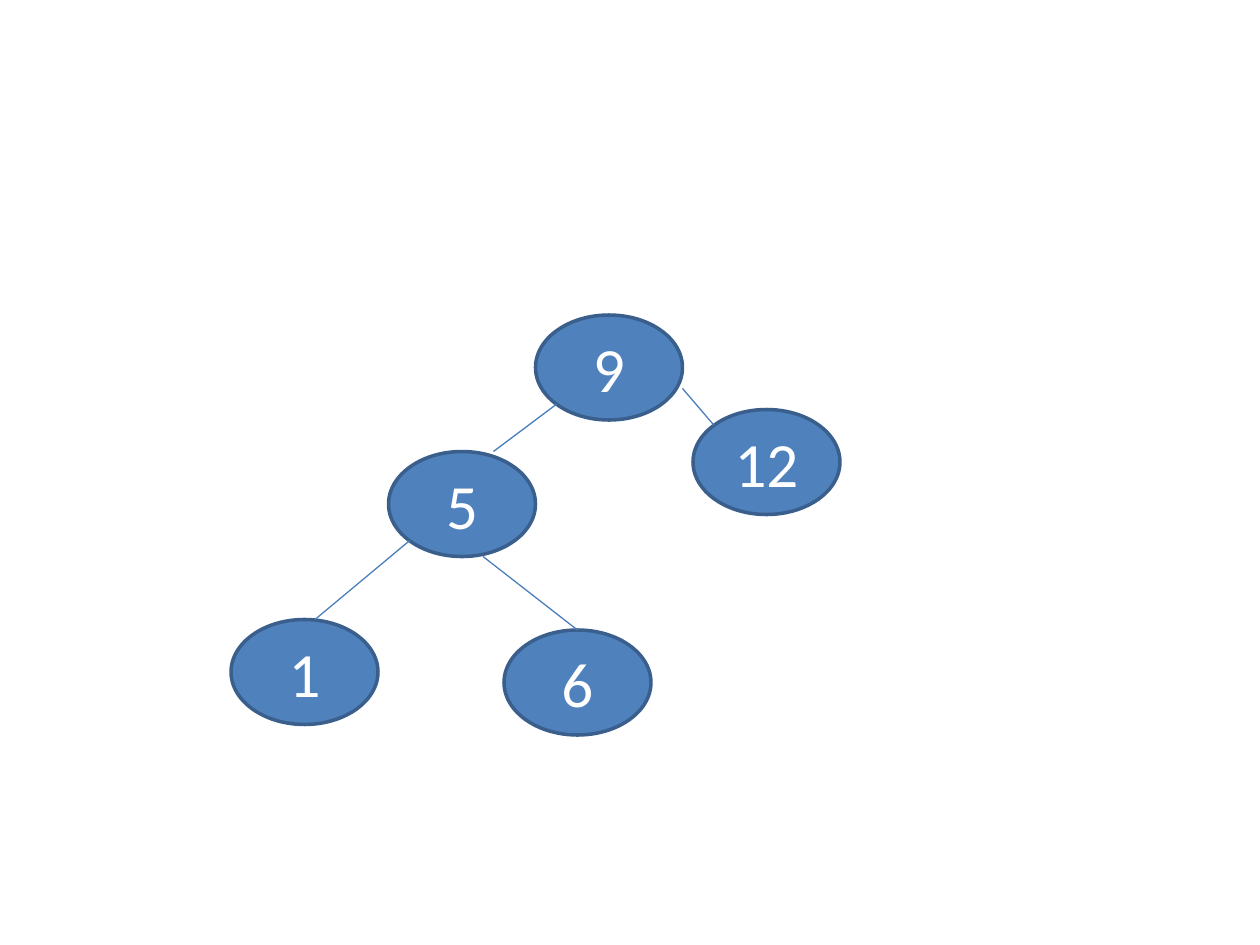
from dataclasses import dataclass

from pptx import Presentation
from pptx.dml.color import RGBColor
from pptx.enum.shapes import MSO_CONNECTOR, MSO_SHAPE
from pptx.enum.text import MSO_ANCHOR, PP_ALIGN
from pptx.oxml.ns import qn
from pptx.shapes.autoshape import Shape
from pptx.shapes.connector import Connector
from pptx.slide import Slide
from pptx.util import Emu, Pt

EMU_PER_PX = 9525
NODE_WIDTH, NODE_HEIGHT = 112, 80
TOP_SITE = 0


@dataclass(frozen=True)
class Node:
    label: str
    left: int
    top: int


@dataclass(frozen=True)
class Edge:
    start: tuple[int, int]
    end: tuple[int, int]
    joined_child: str = ""


NODES = [
    Node("9", 408, 240),
    Node("12", 528, 312),
    Node("5", 296, 344),
    Node("6", 384, 480),
    Node("1", 176, 472),
]
EDGES = [
    Edge((424, 308), (376, 344)),
    Edge((520, 296), (544, 324)),
    Edge((312, 412), (240, 472)),
    Edge((368, 424), (440, 480), joined_child="6"),
]


def px(length: int) -> Emu:
    return Emu(length * EMU_PER_PX)


def color(value: str) -> RGBColor:
    return RGBColor.from_string(value)


def draw_node(page: Slide, node: Node) -> Shape:
    ellipse = page.shapes.add_shape(
        MSO_SHAPE.OVAL, px(node.left), px(node.top), px(NODE_WIDTH), px(NODE_HEIGHT)
    )
    ellipse.shadow.inherit = False
    ellipse.fill.solid()
    ellipse.fill.fore_color.rgb = color("4F81BD")
    ellipse.line.color.rgb = color("3A5F8C")
    ellipse.line.width = Pt(2)
    ellipse.text_frame.vertical_anchor = MSO_ANCHOR.MIDDLE
    para = ellipse.text_frame.paragraphs[0]
    para.alignment = PP_ALIGN.CENTER
    span = para.add_run()
    span.text = node.label
    span.font.name = "Calibri"
    span.font.size = Pt(36)
    span.font.color.rgb = color("FFFFFF")
    return ellipse


def draw_edge(page: Slide, edge: Edge) -> Connector:
    connector = page.shapes.add_connector(
        MSO_CONNECTOR.STRAIGHT, *map(px, edge.start + edge.end)
    )
    connector.line.color.rgb = color("4B7EBC")
    connector.line.width = Pt(0.75)
    properties = connector._element.spPr
    properties.append(properties.makeelement(qn("a:effectLst"), {}))
    return connector


def main() -> None:
    deck = Presentation()
    deck.slide_width, deck.slide_height = px(960), px(720)
    page = deck.slides.add_slide(deck.slide_layouts[6])
    ellipses = {node.label: draw_node(page, node) for node in NODES}
    for edge in EDGES:
        connector = draw_edge(page, edge)
        if edge.joined_child:
            connector.end_connect(ellipses[edge.joined_child], TOP_SITE)
    deck.save("out.pptx")


if __name__ == "__main__":
    main()
